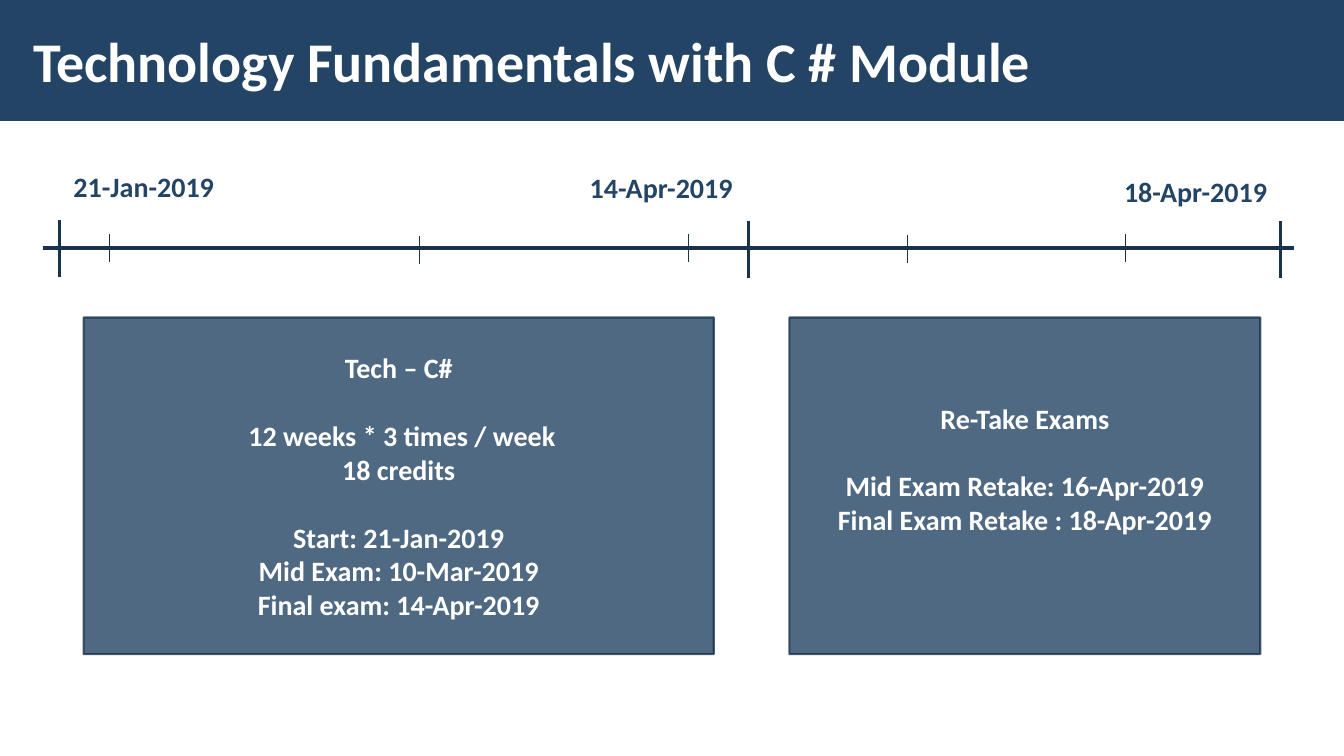
"""Build the course module timeline slide."""
from lxml import etree
from pptx import Presentation
from pptx import util as u
from pptx.dml.color import RGBColor
from pptx.enum import shapes, text
from pptx.oxml.ns import qn

TITLE = "Technology Fundamentals with C # Module"
FONT = "Calibri"
NAVY, DARK, WHITE = "234465", "1A334C", "FFFFFF"
AXIS_Y = 2.46
BOX_TOP, BOX_HEIGHT = 3.15, 3.34
BLANK_LINE = 24.4

MAJOR_TICKS = [(0.59, 2.18), (7.42, 2.19), (12.7, 2.19)]
MINOR_TICKS = [(1.08, 2.32), (4.16, 2.34), (6.83, 2.32), (9, 2.33), (11.16, 2.32)]
DATES = [
    ("21-Jan-2019", 0.63, 1.63, 1.61),
    ("14-Apr-2019", 5.75, 1.64, 1.65),
    ("18-Apr-2019", 11.05, 1.68, 1.65),
]
STAGES = [
    (0.83, 6.25, 0.05, [
        ["Tech – C#"],
        [" 12 weeks * 3 times / week", "18 credits"],
        ["Start: 21-Jan-2019", "Mid Exam: 10-Mar-2019", "Final exam: 14-Apr-2019"],
    ]),
    (7.83, 4.67, 0.39, [
        ["Re-Take Exams"],
        ["Mid Exam Retake: 16-Apr-2019", "Final Exam Retake : 18-Apr-2019"],
    ]),
]


def color(value):
    return RGBColor.from_string(value)


def add_span(para, words, size, tint):
    span = para.add_run()
    span.text = words
    span.font.name = FONT
    span.font.size = u.Pt(size)
    span.font.bold = True
    span.font.color.rgb = color(tint)


def add_rectangle(page, left, top, width, height):
    box = page.shapes.add_shape(
        shapes.MSO_SHAPE.RECTANGLE,
        u.Inches(left), u.Inches(top), u.Inches(width), u.Inches(height))
    box.shadow.inherit = False
    box.fill.solid()
    box.fill.fore_color.rgb = color(NAVY)
    return box


def add_line(page, x1, y1, x2, y2, weight):
    line = page.shapes.add_connector(
        shapes.MSO_CONNECTOR.STRAIGHT,
        u.Inches(x1), u.Inches(y1), u.Inches(x2), u.Inches(y2))
    line.line.color.rgb = color(DARK)
    line.line.width = u.Pt(weight)
    etree.SubElement(line.element.spPr, qn("a:effectLst"))


def add_title(page):
    title = page.shapes.title
    title.left, title.top = u.Inches(0.21), u.Inches(0.11)
    title.width, title.height = u.Inches(10.39), u.Inches(0.97)
    frame = title.text_frame
    frame.auto_size = text.MSO_AUTO_SIZE.NONE
    frame.vertical_anchor = text.MSO_ANCHOR.MIDDLE
    frame.margin_left = frame.margin_right = u.Inches(0.12)
    frame.margin_top = frame.margin_bottom = u.Inches(0.04)
    para = frame.paragraphs[0]
    para.alignment = text.PP_ALIGN.LEFT
    add_span(para, TITLE, 40, WHITE)

    banner = add_rectangle(page, 0, 0, 13.33, 1.2)
    banner.line.fill.background()
    title.element.addprevious(banner.element)


def add_date(page, words, left, top, width):
    label = page.shapes.add_textbox(
        u.Inches(left), u.Inches(top), u.Inches(width), u.Inches(0.44))
    label.text_frame.word_wrap = False
    label.text_frame.auto_size = text.MSO_AUTO_SIZE.SHAPE_TO_FIT_TEXT
    add_span(label.text_frame.paragraphs[0], words, 20, NAVY)


def add_stage(page, left, width, bottom_margin, groups):
    box = add_rectangle(page, left, BOX_TOP, width, BOX_HEIGHT)
    box.line.color.rgb = color(DARK)
    box.line.width = u.Pt(1.5)
    for tint in box.element.spPr.iter(qn("a:srgbClr")):
        etree.SubElement(tint, qn("a:alpha"), val="80000")
    frame = box.text_frame
    frame.word_wrap = True
    frame.vertical_anchor = text.MSO_ANCHOR.MIDDLE
    frame.margin_bottom = u.Inches(bottom_margin)
    para = frame.paragraphs[0]
    for group_index, group in enumerate(groups):
        for line_index, words in enumerate(group):
            if group_index or line_index:
                para = frame.add_paragraph()
            para.alignment = text.PP_ALIGN.CENTER
            if group_index and not line_index:
                para.space_before = u.Pt(BLANK_LINE)
            add_span(para, words, 20, WHITE)


def main():
    deck = Presentation()
    deck.slide_width, deck.slide_height = u.Inches(13.33), u.Inches(7.5)
    page = deck.slides.add_slide(deck.slide_layouts[5])
    add_title(page)
    add_line(page, 0.43, AXIS_Y, 12.83, AXIS_Y, 2.25)
    for ticks, length, weight in ((MAJOR_TICKS, 0.57, 2.25), (MINOR_TICKS, 0.28, 0.5)):
        for x, top in ticks:
            add_line(page, x, top, x, top + length, weight)
    for date in DATES:
        add_date(page, *date)
    for stage in STAGES:
        add_stage(page, *stage)
    deck.save("out.pptx")


if __name__ == "__main__":
    main()
